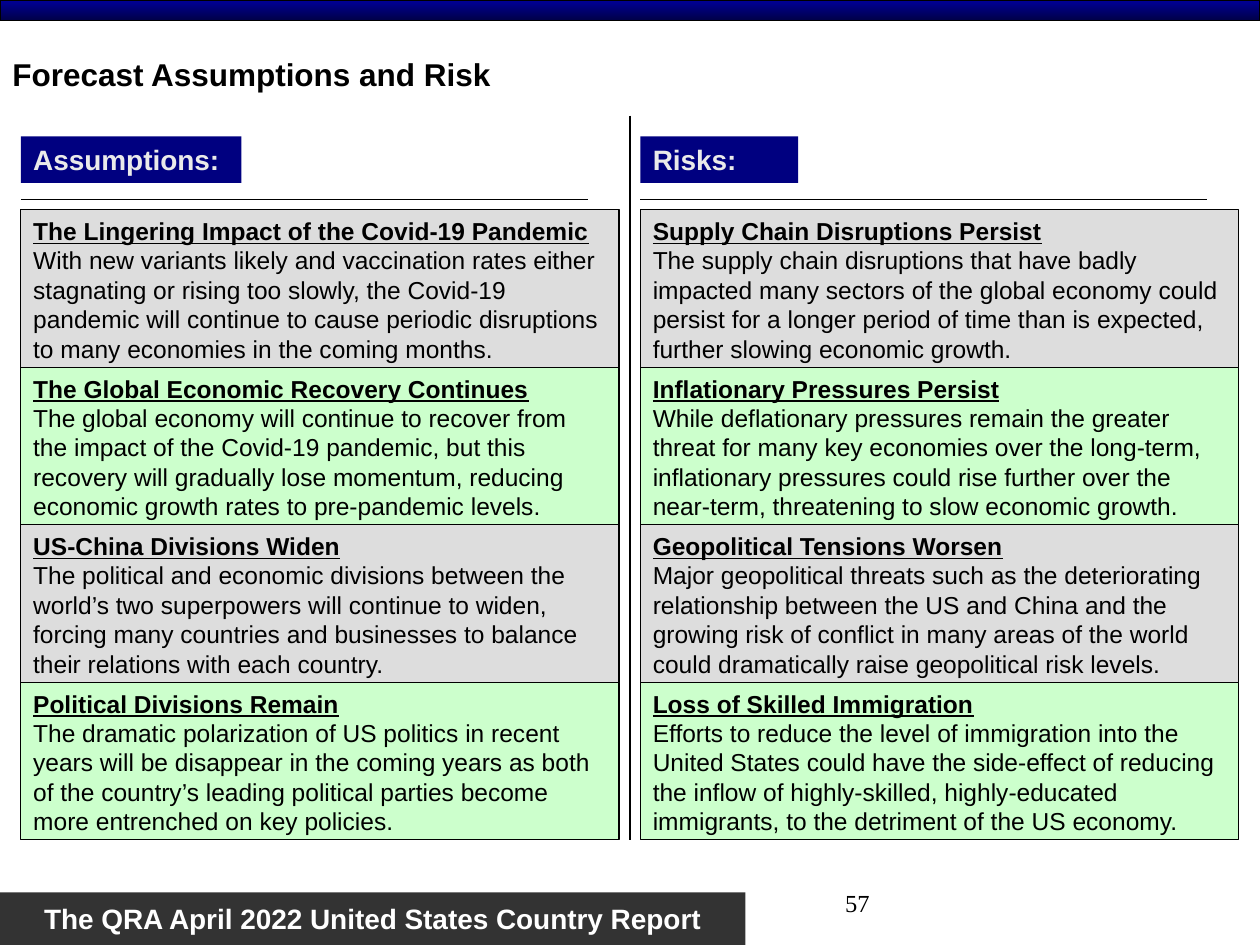
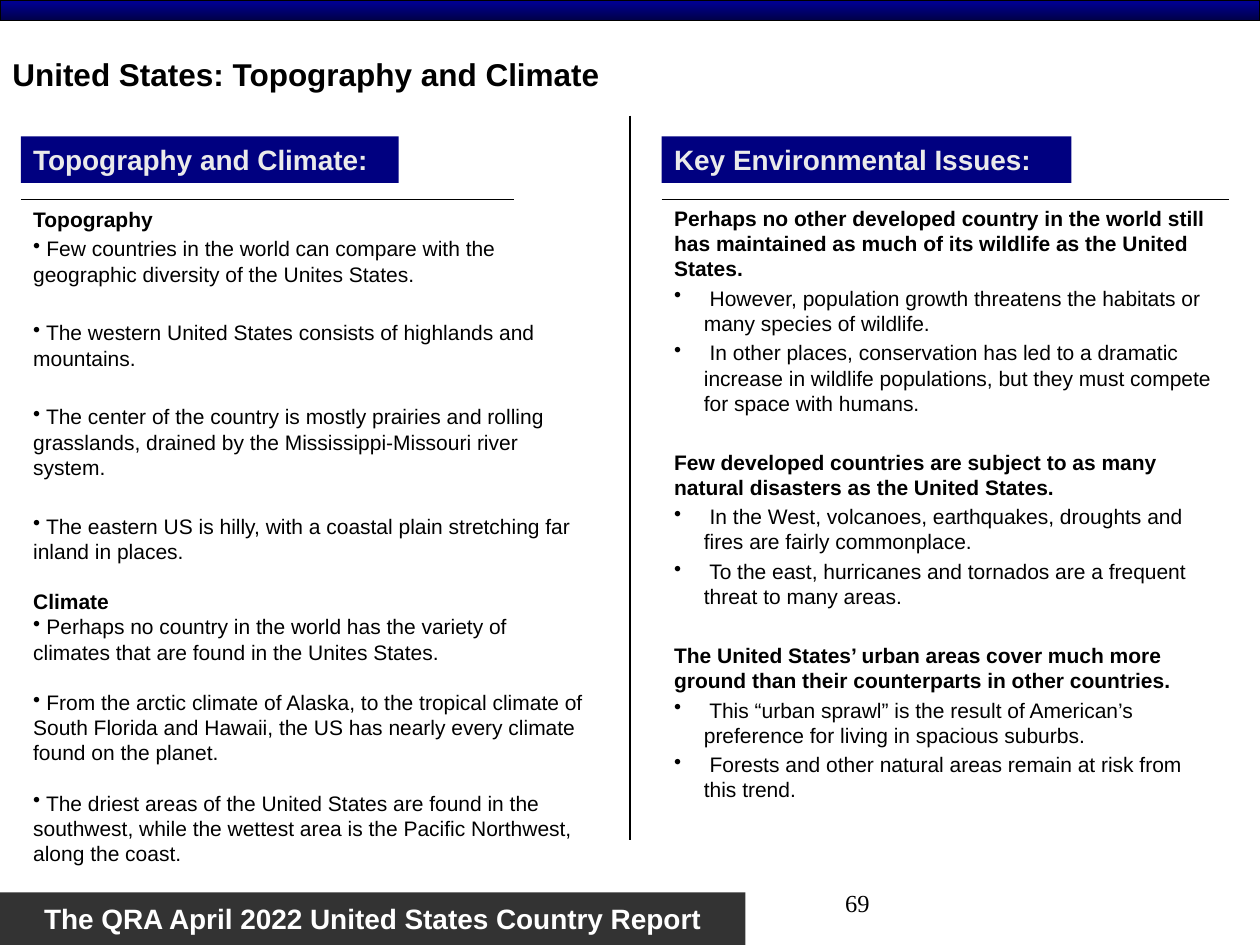
from lxml.etree import SubElement
from pptx import Presentation
from pptx.dml.color import RGBColor
from pptx.enum.shapes import MSO_CONNECTOR, MSO_SHAPE
from pptx.enum.text import MSO_ANCHOR, PP_ALIGN
from pptx.oxml.ns import qn
from pptx.util import Cm, Pt

COLORS = {
    "black": "000000",
    "white": "FFFFFF",
    "band_top": "000099",
    "band_bottom": "000047",
    "footer": "333333",
    "heading": "000080",
    "heading_text": "EAEAEA",
    "gray": "DDDDDD",
    "green": "CCFFCC",
}
SLIDE_WIDTH, SLIDE_HEIGHT = 25.4, 19.05
LEFT = 0.42
RULE_TOP = 4.02
PANEL_TOP, PANEL_WIDTH, PANEL_HEIGHT = 4.23, 12.06, 12.7 / 4
REPORT_NAME = "The QRA April 2022 United States Country Report"

# Space before a paragraph, in points
NONE, CLOSE, LINE, WIDE = 0, 2.4, 14.4, 19.2

ASSUMPTIONS = [
    ("The Lingering Impact of the Covid-19 Pandemic",
     "With new variants likely and vaccination rates either stagnating or rising too slowly, "
     "the Covid-19 pandemic will continue to cause periodic disruptions to many economies in "
     "the coming months."),
    ("The Global Economic Recovery Continues",
     "The global economy will continue to recover from the impact of the Covid-19 pandemic, "
     "but this recovery will gradually lose momentum, reducing economic growth rates to "
     "pre-pandemic levels."),
    ("US-China Divisions Widen",
     "The political and economic divisions between the world’s two superpowers will continue "
     "to widen, forcing many countries and businesses to balance their relations with each "
     "country."),
    ("Political Divisions Remain",
     "The dramatic polarization of US politics in recent years will be disappear in the coming "
     "years as both of the country’s leading political parties become more entrenched on key "
     "policies."),
]
RISKS = [
    ("Supply Chain Disruptions Persist",
     "The supply chain disruptions that have badly impacted many sectors of the global economy "
     "could persist for a longer period of time than is expected, further slowing economic "
     "growth."),
    ("Inflationary Pressures Persist",
     "While deflationary pressures remain the greater threat for many key economies over the "
     "long-term, inflationary pressures could rise further over the near-term, threatening to "
     "slow economic growth."),
    ("Geopolitical Tensions Worsen",
     "Major geopolitical threats such as the deteriorating relationship between the US and "
     "China and the growing risk of conflict in many areas of the world could dramatically "
     "raise geopolitical risk levels."),
    ("Loss of Skilled Immigration",
     "Efforts to reduce the level of immigration into the United States could have the "
     "side-effect of reducing the inflow of highly-skilled, highly-educated immigrants, to the "
     "detriment of the US economy."),
]
TOPOGRAPHY_AND_CLIMATE = [
    ("heading", NONE, "Topography"),
    ("bullet", CLOSE, "Few countries in the world can compare with the geographic diversity of "
     "the Unites States."),
    ("bullet", WIDE, "The western United States consists of highlands and mountains."),
    ("bullet", WIDE, "The center of the country is mostly prairies and rolling grasslands, "
     "drained by the Mississippi-Missouri river system."),
    ("bullet", WIDE, "The eastern US is hilly, with a coastal plain stretching far inland in "
     "places."),
    ("heading", LINE, "Climate"),
    ("bullet", NONE, "Perhaps no country in the world has the variety of climates that are "
     "found in the Unites States."),
    ("bullet", LINE, "From the arctic climate of Alaska, to the tropical climate of South "
     "Florida and Hawaii, the US has nearly every climate found on the planet."),
    ("bullet", LINE, "The driest areas of the United States are found in the southwest, while "
     "the wettest area is the Pacific Northwest, along the coast."),
]
ENVIRONMENTAL_ISSUES = [
    ("heading", NONE, "Perhaps no other developed country in the world still has maintained as "
     "much of its wildlife as the United States."),
    ("bullet", CLOSE, "However, population growth threatens the habitats or many species of "
     "wildlife."),
    ("bullet", CLOSE, "In other places, conservation has led to a dramatic increase in wildlife "
     "populations, but they must compete for space with humans."),
    ("heading", WIDE, "Few developed countries are subject to as many natural disasters as the "
     "United States."),
    ("bullet", CLOSE, "In the West, volcanoes, earthquakes, droughts and fires are fairly "
     "commonplace."),
    ("bullet", CLOSE, "To the east, hurricanes and tornados are a frequent threat to many "
     "areas."),
    ("heading", WIDE, "The United States’ urban areas cover much more ground than their "
     "counterparts in other countries."),
    ("bullet", CLOSE, "This “urban sprawl” is the result of American’s preference for living in "
     "spacious suburbs."),
    ("bullet", CLOSE, "Forests and other natural areas remain at risk from this trend."),
]


def color(name):
    return RGBColor.from_string(COLORS[name])


def format_runs(paragraph, size, ink="black", bold=False, underline=False, font="Arial"):
    for span in paragraph.runs:
        span.font.name = font
        span.font.size = Pt(size)
        span.font.bold = bold
        span.font.underline = underline
        span.font.color.rgb = color(ink)


def add_rectangle(page, left, top, width, height, fill=None, outlined=False):
    box = page.shapes.add_shape(
        MSO_SHAPE.RECTANGLE, Cm(left), Cm(top), Cm(width), Cm(height))
    box.shadow.inherit = False
    if fill:
        box.fill.solid()
        box.fill.fore_color.rgb = color(fill)
    if outlined:
        box.line.color.rgb = color("black")
        box.line.width = Pt(0.75)
    else:
        box.line.fill.background()
    return box


def add_text_box(page, left, top, width, height):
    box = page.shapes.add_textbox(Cm(left), Cm(top), Cm(width), Cm(height))
    box.text_frame.word_wrap = True
    return box


def set_line(box, text, align, size, **style):
    """Fill a box with one formatted, vertically centred paragraph."""
    frame = box.text_frame
    frame.text = text
    frame.vertical_anchor = MSO_ANCHOR.MIDDLE
    frame.paragraphs[0].alignment = align
    format_runs(frame.paragraphs[0], size, **style)


def add_rule(page, x1, y1, x2, y2):
    rule = page.shapes.add_connector(
        MSO_CONNECTOR.STRAIGHT, Cm(x1), Cm(y1), Cm(x2), Cm(y2))
    rule.line.color.rgb = color("black")
    rule.line.width = Pt(0.75)
    SubElement(rule._element.spPr, qn("a:effectLst"))


def add_top_band(page):
    band = add_rectangle(page, 0, 0, SLIDE_WIDTH, 0.42, outlined=True)
    band.fill.gradient()
    band.fill.gradient_angle = 270
    for stop, name in zip(band.fill.gradient_stops, ("band_top", "band_bottom")):
        stop.color.rgb = color(name)


def add_two_column_page(deck, title, number):
    """Add a page with its band, footer, number, title and column divider."""
    page = deck.slides.add_slide(deck.slide_layouts[6])
    add_top_band(page)
    footer = add_rectangle(page, 0, 17.99, 15.03, 1.06, "footer")
    set_line(footer, REPORT_NAME, PP_ALIGN.CENTER, 16, ink="white", bold=True)
    footer.text_frame.word_wrap = False
    number_box = add_text_box(page, 12.5, 17.78, 5.28, 1.27)
    set_line(number_box, str(number), PP_ALIGN.RIGHT, 14, font="Times New Roman")
    number_box.text_frame.vertical_anchor = MSO_ANCHOR.TOP
    title_box = add_text_box(page, 0, 0.64, 18.42, 1.69)
    set_line(title_box, title, PP_ALIGN.LEFT, 18, bold=True)
    add_rule(page, SLIDE_WIDTH / 2, 2.33, SLIDE_WIDTH / 2, 16.93)
    return page


def add_column_heading(page, left, text, width, rule_length=11.43):
    heading = add_rectangle(page, left, 2.75, width, 0.94, "heading")
    set_line(heading, text, PP_ALIGN.LEFT, 16, ink="heading_text", bold=True)
    add_rule(page, left, RULE_TOP, left + rule_length, RULE_TOP)


def add_panels(page, left, panels):
    """Stack headed panels in alternating gray and green."""
    for row, texts in enumerate(panels):
        panel = add_rectangle(page, left, PANEL_TOP + row * PANEL_HEIGHT, PANEL_WIDTH,
                              PANEL_HEIGHT, ("gray", "green")[row % 2], outlined=True)
        frame = panel.text_frame
        frame.vertical_anchor = MSO_ANCHOR.TOP
        frame.text = "\n".join(texts)
        for paragraph, is_heading in zip(frame.paragraphs, (True, False)):
            paragraph.alignment = PP_ALIGN.LEFT
            format_runs(paragraph, 14, bold=is_heading, underline=is_heading)


def add_bullet(paragraph, hang):
    properties = paragraph._p.get_or_add_pPr()
    properties.set("marL", str(Cm(hang)))
    properties.set("indent", str(-Cm(hang)))
    SubElement(properties, qn("a:buFontTx"))
    SubElement(properties, qn("a:buChar"), char="•")


def add_notes_column(page, left, top, width, height, entries, hang=0):
    """Write headings and bullets; hang is the indent of wrapped bullet lines."""
    frame = add_text_box(page, left, top, width, height).text_frame
    frame.text = "\n".join(
        f" {text}" if kind == "bullet" else text for kind, _, text in entries)
    for paragraph, (kind, space, _) in zip(frame.paragraphs, entries):
        if kind == "bullet":
            add_bullet(paragraph, hang)
        paragraph.space_before = Pt(space)
        format_runs(paragraph, 12, bold=kind == "heading")


def add_forecast_page(deck):
    page = add_two_column_page(deck, "Forecast Assumptions and Risk", 57)
    right = 12.91
    add_column_heading(page, LEFT, "Assumptions:", 4.45)
    add_column_heading(page, right, "Risks:", 3.18)
    add_panels(page, LEFT, ASSUMPTIONS)
    add_panels(page, right, RISKS)


def add_topography_page(deck):
    page = add_two_column_page(deck, "United States: Topography and Climate", 69)
    right = 13.34
    add_column_heading(page, LEFT, "Topography and Climate:", 7.62, rule_length=9.95)
    add_column_heading(page, right, "Key Environmental Issues:", 8.26)
    add_notes_column(page, LEFT, 4.04, 11.64, 14.18, TOPOGRAPHY_AND_CLIMATE)
    add_notes_column(page, right, RULE_TOP, 11.43, 13.76, ENVIRONMENTAL_ISSUES, hang=0.6)


def main():
    deck = Presentation()
    deck.slide_width, deck.slide_height = Cm(SLIDE_WIDTH), Cm(SLIDE_HEIGHT)
    add_forecast_page(deck)
    add_topography_page(deck)
    deck.save("out.pptx")


if __name__ == "__main__":
    main()
